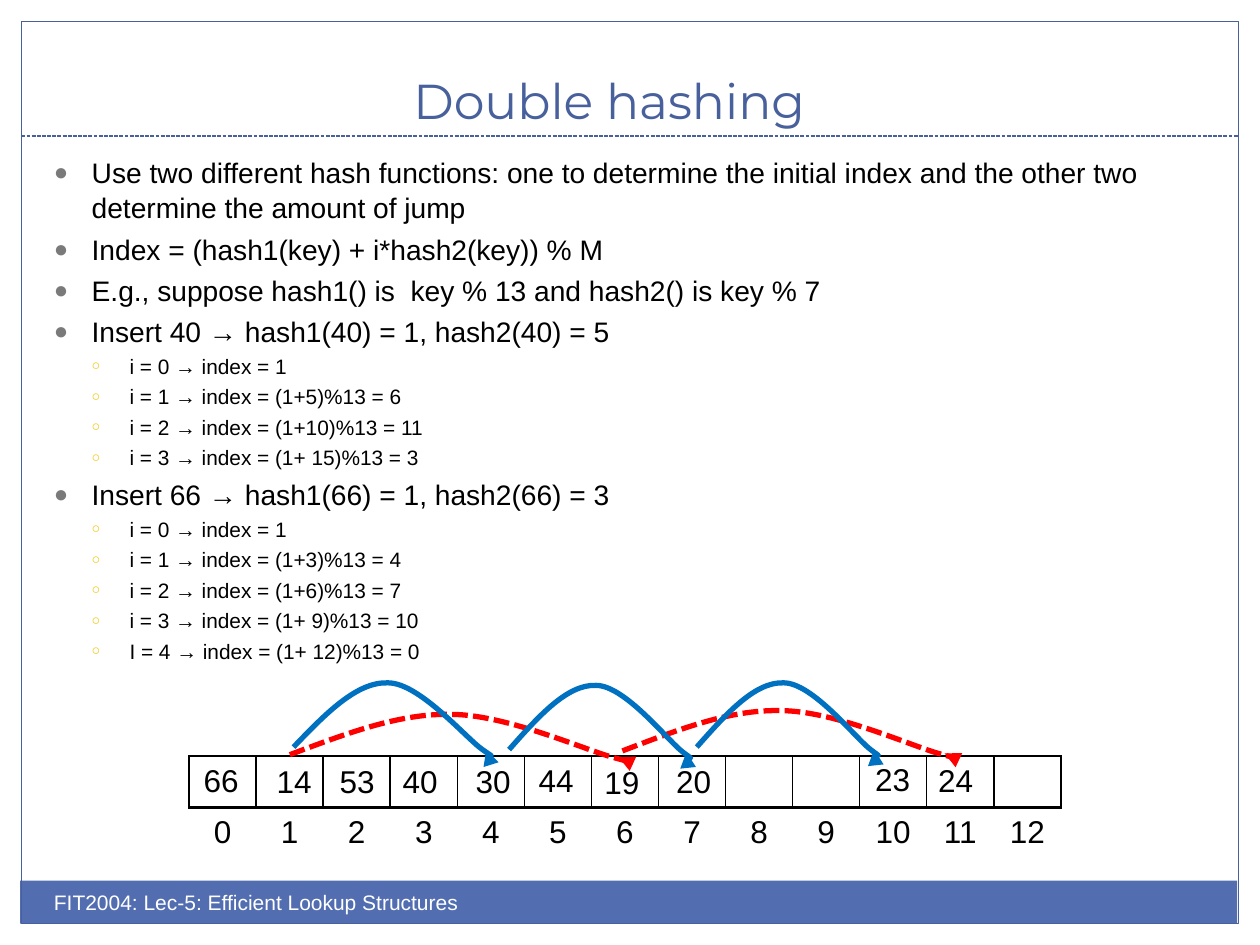
from lxml import etree
from pptx import Presentation, util as u
from pptx.dml.color import RGBColor
from pptx.enum import dml, shapes, text
from pptx.oxml.ns import qn

HUE = {"frame": "48609B", "foot": "526DB0", "white": "FFFFFF", "ink": "000000",
       "dot": "7A7A7A", "ring": "F5C201", "red": "FF0000", "blue": "0070C0"}
DASH = dml.MSO_LINE.SQUARE_DOT
MAIN, SUB = 0, 1
# size, space before, indent, bullet, bullet colour, bullet percent
LEVELS = {MAIN: (16.1, 3.2, 0.3, "●", "dot", 85),
          SUB: (11.9, 2.4, 0.6, "○", "ring", 70)}
POINTS = [
    (MAIN, "Use two different hash functions: one to determine the initial index "
           "and the other two determine the amount of jump"),
    (MAIN, "Index = (hash1(key) + i*hash2(key)) % M"),
    (MAIN, "E.g., suppose hash1() is  key % 13 and hash2() is key % 7"),
    (MAIN, "Insert 40 → hash1(40) = 1, hash2(40) = 5"),
    (SUB, "i = 0 → index = 1"),
    (SUB, "i = 1 → index = (1+5)%13 = 6"),
    (SUB, "i = 2 → index = (1+10)%13 = 11"),
    (SUB, "i = 3 → index = (1+ 15)%13 = 3"),
    (MAIN, "Insert 66 → hash1(66) = 1, hash2(66) = 3"),
    (SUB, "i = 0 → index = 1"),
    (SUB, "i = 1 → index = (1+3)%13 = 4"),
    (SUB, "i = 2 → index = (1+6)%13 = 7"),
    (SUB, "i = 3 → index = (1+ 9)%13 = 10"),
    (SUB, "I = 4 → index = (1+ 12)%13 = 0"),
]
# key, left, top
KEYS = [("66", 1.42, 5.99), ("14", 2, 6), ("53", 2.5, 6), ("40", 3, 6),
        ("30", 3.58, 6), ("44", 4.08, 5.99), ("19", 4.6, 6.01),
        ("20", 5.17, 6), ("23", 6.75, 5.98), ("24", 7.25, 5.99)]
# Start and control points of each jump
LONG = [(0, 0), (0.43, -0.16), (0.86, -0.33), (1.28, -0.32), (1.71, -0.32),
        (2.34, -0.04), (2.56, 0.02), (2.78, 0.08), (2.7, 0.05), (2.61, 0.02)]
SHORT = [(0, 0), (0.25, -0.26), (0.5, -0.52), (0.75, -0.51), (1, -0.51),
         (1.37, -0.07), (1.5, 0.02), (1.63, 0.11), (1.58, 0.06), (1.53, 0.02)]
# shape, left, top, width factor, colour, dash
JUMPS = [(LONG, 2.3, 5.99, 1, "red", DASH), (LONG, 4.94, 5.96, 0.98, "red", DASH),
         (SHORT, 2.33, 5.93, 1, "blue", None), (SHORT, 4.04, 5.95, 0.92, "blue", None),
         (SHORT, 5.53, 5.93, 0.92, "blue", None)]


def rgb(name):
    """Look up a colour."""
    return RGBColor.from_string(HUE[name])


def node(dad, tag, **attrs):
    """Append a drawing element."""
    kid = etree.SubElement(dad, qn("a:" + tag))
    for key, val in attrs.items():
        kid.set(key, str(val))
    return kid


def pen(line, hue, width, dash=None):
    """Style a line."""
    line.color.rgb = rgb(hue)
    line.width = u.Pt(width)
    if dash:
        line.dash_style = dash


def write(para, words, size, hue="ink", font="Arial", align=None):
    """Add one run to a paragraph."""
    run = para.add_run()
    run.text = words
    run.font.size, run.font.name = u.Pt(size), font
    run.font.color.rgb = rgb(hue)
    para.alignment = align


def frame(slide, box, anchor=text.MSO_ANCHOR.TOP):
    """Add a wrapping text box and return its frame."""
    area = slide.shapes.add_textbox(*map(u.Inches, box)).text_frame
    area.word_wrap, area.vertical_anchor = True, anchor
    return area


def rect(slide, box, fill=None, edge=None):
    """Add a plain rectangle."""
    shape = slide.shapes.add_shape(shapes.MSO_SHAPE.RECTANGLE, *map(u.Inches, box))
    shape.shadow.inherit = False
    if fill:
        shape.fill.solid()
        shape.fill.fore_color.rgb = rgb(fill)
    else:
        shape.fill.background()
    if edge:
        pen(shape.line, edge, 0.75)
    else:
        shape.line.fill.background()


def rule(slide, left, right, top):
    """Add the dashed line under the title."""
    line = slide.shapes.add_connector(shapes.MSO_CONNECTOR.STRAIGHT, *map(
        u.Inches, (left, top, right, top)))
    pen(line.line, "frame", 0.75, DASH)
    node(line._element.spPr, "effectLst")


def bullets(slide, box):
    """Add the two-level list."""
    area = frame(slide, box)
    for row, (level, words) in enumerate(POINTS):
        para = area.add_paragraph() if row else area.paragraphs[0]
        size, gap, indent, mark, hue, part = LEVELS[level]
        para.level = level
        para.space_before, para.line_spacing = u.Pt(gap), 1.05
        props = para._p.get_or_add_pPr()
        props.set("marL", str(u.Inches(indent)))
        props.set("indent", str(u.Inches(-0.3)))
        node(node(props, "buClr"), "srgbClr", val=HUE[hue])
        node(props, "buSzPct", val=part * 1000)
        node(props, "buFont", typeface="Arial")
        node(props, "buChar", char=mark)
        write(para, words, size)


def border(cell, on):
    """Set or clear the four cell borders."""
    props = cell._tc.get_or_add_tcPr()
    for spot, side in enumerate(("lnL", "lnR", "lnT", "lnB")):
        wide = u.Pt(2 if side == "lnB" else 1)
        edge = etree.Element(qn("a:" + side), w=str(int(wide)))
        if on:
            node(node(edge, "solidFill"), "srgbClr", val=HUE["ink"])
        else:
            node(edge, "noFill")
        props.insert(spot, edge)


def strip(slide, top, labels, lined):
    """Add a one-row table."""
    table = slide.shapes.add_table(1, len(labels), *map(
        u.Inches, (1.5, top, 6.92, 0.41))).table
    table.first_row = table.horz_banding = False
    for col, words in enumerate(labels):
        table.columns[col].width = u.Inches(6.92 / len(labels))
        cell = table.cell(0, col)
        cell.fill.background()
        border(cell, lined)
        if words:
            write(cell.text_frame.paragraphs[0], words, 18, align=text.PP_ALIGN.CENTER)


def jump(slide, curve, left, top, wide, hue, dash):
    """Add a curved arrow made of cubic segments."""
    spots = [(u.Inches(left + x * wide), u.Inches(top + y)) for x, y in curve]
    pencil = slide.shapes.build_freeform(*spots[0])
    pencil.add_line_segments(spots[1:], close=False)
    shape = pencil.convert_to_shape()
    shape.shadow.inherit = False
    shape.fill.background()
    pen(shape.line, hue, 3, dash)
    node(shape.line._get_or_add_ln(), "tailEnd", type="triangle")
    track = shape._element.find(".//" + qn("a:path"))
    steps = track.findall(qn("a:lnTo"))
    for first in range(0, len(steps), 3):
        bend = node(track, "cubicBezTo")
        for step in steps[first:first + 3]:
            bend.append(step[0])
            track.remove(step)


def main():
    """Build the slide."""
    deck = Presentation()
    deck.slide_width, deck.slide_height = u.Inches(10), u.Inches(7.5)
    slide = deck.slides.add_slide(deck.slide_layouts[6])
    mid = text.PP_ALIGN.CENTER
    rect(slide, (0.16, 6.99, 9.66, 0.34), fill="foot")
    rect(slide, (0.17, 0.17, 9.66, 7.16), edge="frame")
    rule(slide, 0.17, 9.83, 1.08)
    title = frame(slide, (-0.08, 0.25, 9.83, 0.83), text.MSO_ANCHOR.BOTTOM)
    write(title.paragraphs[0], "Double hashing", 28, "frame", "Montserrat", mid)
    bullets(slide, (0.33, 1.17, 9.5, 3.67))
    foot = frame(slide, (0.33, 7.01, 5, 0.4))
    write(foot.paragraphs[0], "FIT2004: Lec-5: Efficient Lookup Structures", 12, "white")
    strip(slide, 6, [""] * 13, True)
    strip(slide, 6.42, [str(n) for n in range(13)], False)
    for spec in JUMPS:
        jump(slide, *spec)
    for key, left, top in KEYS:
        area = frame(slide, (left, top, 0.67, 0.4), text.MSO_ANCHOR.MIDDLE)
        write(area.paragraphs[0], key, 18, align=mid)
    deck.save("out.pptx")


main()
